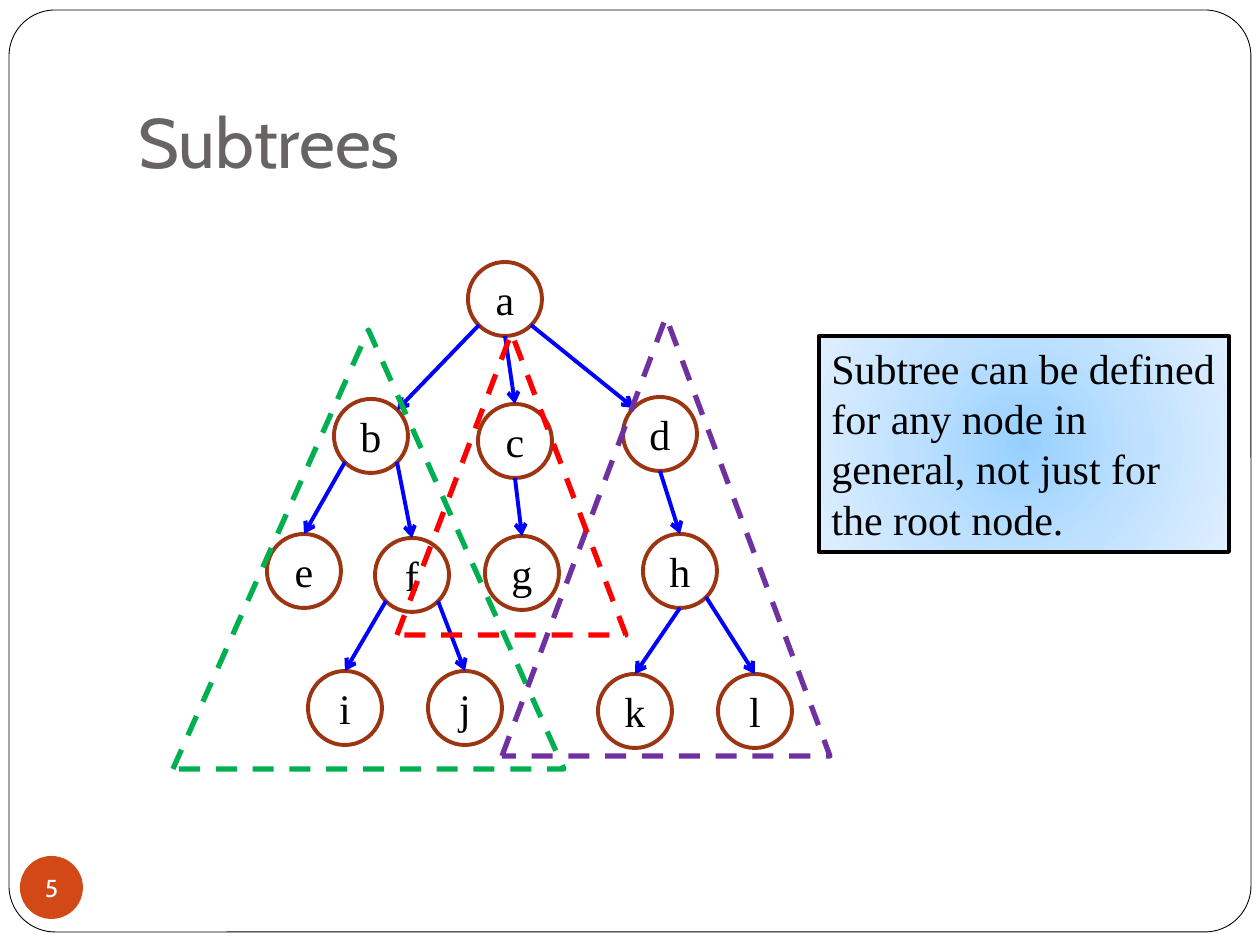
"""Build a slide that marks the subtrees of a tree."""
import pptx
import pptx.dml.color
import pptx.enum.dml
import pptx.enum.shapes
import pptx.enum.text
import pptx.oxml
import pptx.oxml.ns
import pptx.util

KIND = pptx.enum.shapes.MSO_SHAPE
ALIGN = pptx.enum.text.PP_ALIGN
ANCHOR = pptx.enum.text.MSO_ANCHOR
COLORS = {
    "white": "FFFFFF", "black": "000000", "title": "696464", "badge": "D34817",
    "node": "9C3511", "edge": "0000FF", "green": "00B050",
    "purple": "7030A0", "red": "FF0000",
}
GLOW = [(0, "96D0FF"), (50, "BFE1FF"), (100, "E0EFFF")]
RADIUS, SLANT = 37, 26
SITES = {
    "top": (0, -RADIUS), "base": (0, RADIUS), "left": (-SLANT, SLANT),
    "right": (SLANT, SLANT), "upleft": (-SLANT, -SLANT), "upright": (SLANT, -SLANT),
}
NODES = {
    "a": (505, 299), "b": (371, 436), "c": (515, 441), "d": (660, 434),
    "e": (304, 571), "f": (412, 575), "g": (522, 573), "h": (680, 571),
    "i": (345, 708), "j": (465, 708), "k": (635, 711), "l": (755, 711),
}
EDGES = [
    ("a", "left", "b", "upright"), ("a", "base", "c", "top"),
    ("a", "right", "d", "upleft"), ("b", "left", "e", "top"),
    ("b", "right", "f", "top"), ("c", "base", "g", "top"),
    ("d", "base", "h", "top"), ("f", "left", "i", "top"),
    ("f", "right", "j", "top"), ("h", "base", "k", "top"),
    ("h", "right", "l", "top"),
]
SUBTREES = [
    ((173, 330, 391, 439), "green"), ((502, 317, 328, 439), "purple"),
    ((397, 333, 229, 302), "red"),
]


def px(num):
    return pptx.util.Emu(round(num * 914400 / 126))


def rgb(name):
    return pptx.dml.color.RGBColor.from_string(COLORS[name])


def xml(tag, attrs="", inner=""):
    space = pptx.oxml.ns.nsdecls("a")
    return pptx.oxml.parse_xml(f"<a:{tag} {space} {attrs}>{inner}</a:{tag}>")


class Painter:
    """Hold the style and the current slide."""
    sans = "Cabin"
    serif = "Times New Roman"

    def __init__(self, slide):
        self.slide = slide
        self.tree = None

    def label(self, shape, text, size, font, color, align=ALIGN.LEFT,
              anchor=ANCHOR.MIDDLE):
        frame = shape.text_frame
        frame.vertical_anchor = anchor
        para = frame.paragraphs[0]
        para.alignment = align
        run = para.add_run()
        run.text = text
        run.font.size = pptx.util.Pt(size)
        run.font.name = font
        run.font.color.rgb = rgb(color)
        return frame

    def title(self, text, box):
        shape = self.slide.shapes.title
        shape.left, shape.top, shape.width, shape.height = map(px, box)
        frame = self.label(shape, text, 40, self.sans, "title", anchor=ANCHOR.BOTTOM)
        frame.auto_size = pptx.enum.text.MSO_AUTO_SIZE.NONE
        frame.margin_bottom = px(13)

    def shape(self, kind, box, fill=None, line=None, width=1, home=None):
        shapes = (home or self.slide).shapes
        shape = shapes.add_shape(kind, *map(px, box))
        shape.shadow.inherit = False
        if fill:
            shape.fill.solid()
            shape.fill.fore_color.rgb = rgb(fill)
        else:
            shape.fill.background()
        if line:
            shape.line.color.rgb = rgb(line)
            shape.line.width = pptx.util.Pt(width)
        else:
            shape.line.fill.background()
        return shape

    def frame(self, box):
        shape = self.shape(KIND.ROUNDED_RECTANGLE, box, "white", "black", 0.5)
        shape.adjustments[0] = 0.05

    def badge(self, text, box):
        shape = self.shape(KIND.OVAL, box, "badge")
        frame = self.label(shape, text, 14, self.sans, "white", ALIGN.CENTER)
        frame.margin_left = frame.margin_right = 0
        frame.margin_top = frame.margin_bottom = 0
        frame.word_wrap = False

    def node(self, text, x, y):
        box = (x - RADIUS, y - RADIUS, 2 * RADIUS, 2 * RADIUS)
        shape = self.shape(KIND.OVAL, box, None, "node", 2.25, self.tree)
        self.label(shape, text, 24, self.serif, "black", ALIGN.CENTER)

    def edge(self, start, end):
        kind = pptx.enum.shapes.MSO_CONNECTOR.STRAIGHT
        line = self.tree.shapes.add_connector(kind, *map(px, start + end))
        line.line.color.rgb = rgb("edge")
        line.line.width = pptx.util.Pt(2.25)
        props = line._element.spPr
        props.find(pptx.oxml.ns.qn("a:ln")).append(xml("tailEnd", 'type="arrow"'))
        props.append(xml("effectLst"))

    def graph(self):
        self.tree = self.slide.shapes.add_group_shape()
        for name, (x, y) in NODES.items():
            self.node(name, x, y)
        for head, out, tail, into in EDGES:
            start = tuple(map(sum, zip(NODES[head], SITES[out])))
            end = tuple(map(sum, zip(NODES[tail], SITES[into])))
            self.edge(start, end)

    def outline(self, box, color):
        shape = self.shape(KIND.ISOSCELES_TRIANGLE, box, None, color, 3)
        shape.line.dash_style = pptx.enum.dml.MSO_LINE.DASH

    def note(self, text, box):
        shape = self.shape(KIND.RECTANGLE, box, "white", "black", 2.25)
        stops = "".join(
            f'<a:gs pos="{pos * 1000}"><a:srgbClr val="{color}"/></a:gs>'
            for pos, color in GLOW)
        mid = 'l="50000" t="50000" r="50000" b="50000"'
        glow = xml("gradFill", 'rotWithShape="1"', f"<a:gsLst>{stops}</a:gsLst>"
                   f'<a:path path="circle"><a:fillToRect {mid}/></a:path>')
        props = shape._element.spPr
        props.replace(props.find(pptx.oxml.ns.qn("a:solidFill")), glow)
        frame = self.label(shape, text, 24, self.serif, "black", anchor=ANCHOR.TOP)
        frame.word_wrap = True
        frame.auto_size = pptx.enum.text.MSO_AUTO_SIZE.SHAPE_TO_FIT_TEXT


def main():
    deck = pptx.Presentation()
    deck.slide_width, deck.slide_height = px(1260), px(945)
    slide = deck.slides.add_slide(deck.slide_layouts[5])
    pen = Painter(slide)
    pen.frame((9, 10, 1242, 922))
    title = slide.shapes.title._element
    title.getparent().append(title)
    pen.title("Subtrees", (126, 38, 1071, 158))
    pen.badge("5", (20, 856, 63, 63))
    pen.graph()
    for box, color in SUBTREES:
        pen.outline(box, color)
    pen.note("Subtree can be defined for any node in general, not just for "
             "the root node.", (819, 336, 410, 216))
    deck.save("out.pptx")


if __name__ == "__main__":
    main()
